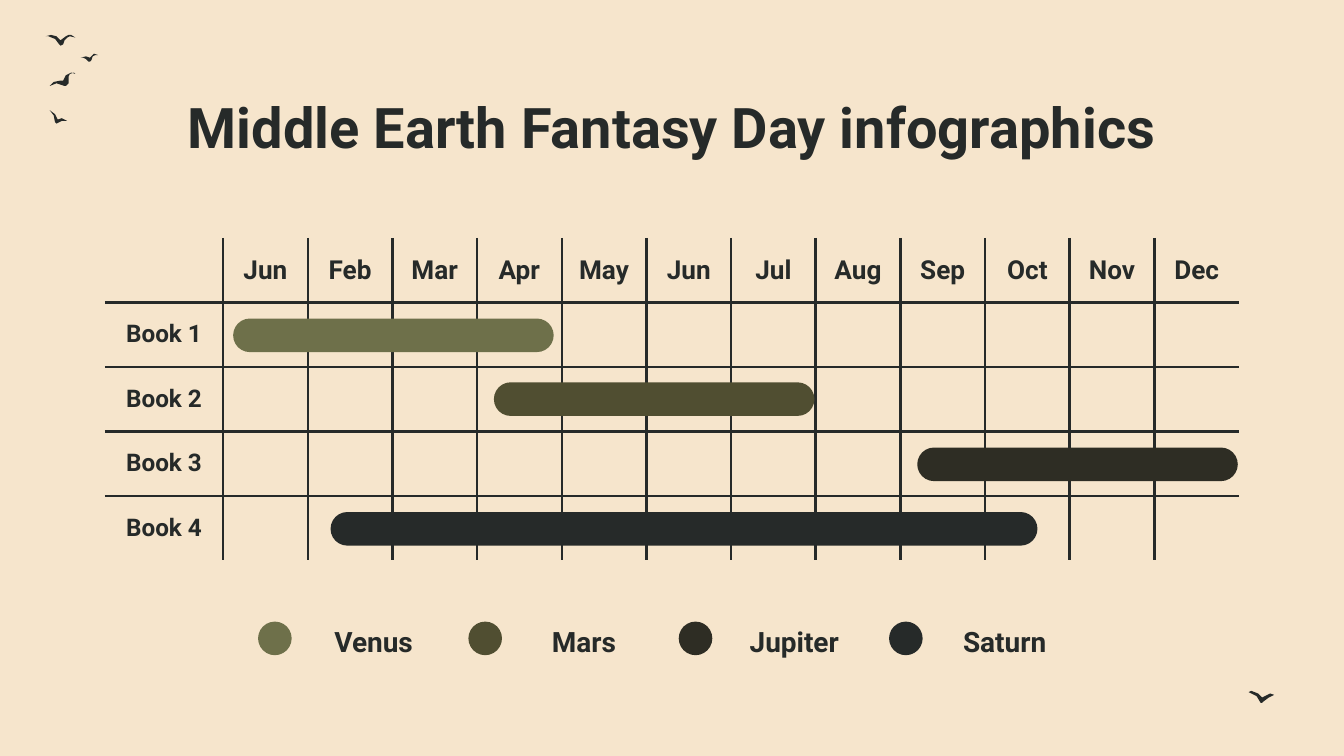
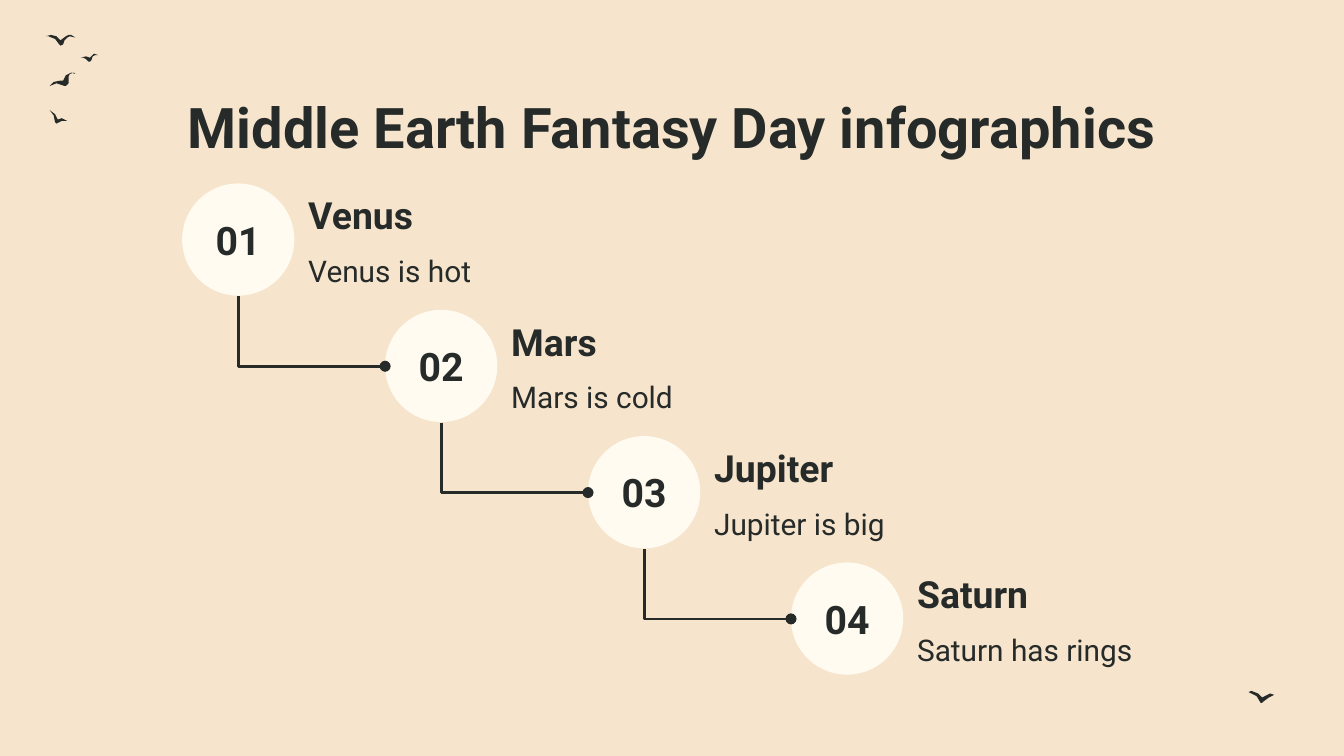
"""Build two infographic slides: a yearly Gantt table and a four-step staircase."""
from dataclasses import dataclass
from typing import Any, NamedTuple

from lxml import etree
from pptx import Presentation
from pptx import util as u
from pptx.dml.color import RGBColor
from pptx.enum import shapes, text
from pptx.oxml.ns import qn

PX = 4572


@dataclass(frozen=True)
class Theme:
    font: str = "Roboto"
    paper: str = "F6E5CC"
    ink: str = "262A29"
    cream: str = "FFFBF0"
    sage: str = "6E704A"
    olive: str = "504E31"
    bark: str = "2E2D24"
    title: int = 30
    number: int = 21
    heading: int = 20
    body: int = 16
    legend: int = 15
    month: int = 14
    book: int = 13
    line: float = 1.5


class Box(NamedTuple):
    x: int
    y: int
    w: int
    h: int

    def shift(self, dx: int, dy: int = 0) -> "Box":
        return Box(self.x + dx, self.y + dy, self.w, self.h)

    def emu(self) -> list[int]:
        return [v * PX for v in self]


class Planet(NamedTuple):
    name: str
    fact: str
    color: str
    bar: Box


T = Theme()
INSET, BOOK_W, MONTH_W, ROW_H = 20, 176, 126, 96
TOP, MIDDLE, BOTTOM = text.MSO_ANCHOR.TOP, text.MSO_ANCHOR.MIDDLE, text.MSO_ANCHOR.BOTTOM
LEFT, CENTER = text.PP_ALIGN.LEFT, text.PP_ALIGN.CENTER
OVAL, PILL = shapes.MSO_SHAPE.OVAL, shapes.MSO_SHAPE.ROUNDED_RECTANGLE
TITLE = "Middle Earth Fantasy Day infographics"
MONTHS = "Jun Feb Mar Apr May Jun Jul Aug Sep Oct Nov Dec".split()
PLANETS = [
    Planet("Venus", "Venus is hot", T.sage, Box(347, 474, 477, 50)),
    Planet("Mars", "Mars is cold", T.olive, Box(735, 569, 477, 50)),
    Planet("Jupiter", "Jupiter is big", T.bark, Box(1365, 666, 477, 50)),
    Planet("Saturn", "Saturn has rings", T.ink, Box(492, 762, 1052, 50)),
]
BIRDS = [
    [(102, 52), (98, 54), (90, 60), (84, 54), (76, 52), (68, 54), (72, 54), (82, 58),
     (88, 66), (90, 68), (94, 66), (96, 60), (100, 56), (104, 54), (112, 56), (106, 52)],
    [(106, 108), (98, 112), (94, 120), (90, 120), (80, 122), (74, 128), (84, 124), (96, 128),
     (98, 128), (102, 124), (102, 114), (104, 110), (110, 108), (112, 110)],
    [(74, 164), (80, 172), (82, 182), (84, 184), (92, 180), (100, 180), (92, 176),
     (86, 178), (82, 170)],
    [(140, 80), (138, 82), (134, 86), (128, 84), (120, 86), (124, 86), (128, 88), (132, 92),
     (134, 92), (136, 90), (138, 84), (142, 82), (146, 82)],
    [(1862, 1028), (1858, 1030), (1870, 1036), (1876, 1046), (1878, 1046), (1880, 1044),
     (1888, 1038), (1896, 1034), (1890, 1032), (1886, 1034), (1878, 1038), (1872, 1032)],
]


def rgb(color: str) -> RGBColor:
    return RGBColor.from_string(color)


def write(tf: Any, words: str, size: int, bold: bool = True, align: Any = CENTER) -> None:
    p = tf.paragraphs[0]
    p.alignment = align
    r = p.add_run()
    r.text = words
    r.font.name, r.font.size, r.font.bold = T.font, u.Pt(size), bold
    r.font.color.rgb = rgb(T.ink)


def set_frame(tf: Any, anchor: Any) -> None:
    tf.word_wrap = True
    tf.vertical_anchor = anchor
    tf.margin_left = tf.margin_right = tf.margin_top = tf.margin_bottom = INSET * PX


def add_text(parent: Any, box: Box, words: str, size: int, anchor: Any = TOP,
             bold: bool = True, align: Any = CENTER) -> None:
    tf = parent.add_textbox(*box.emu()).text_frame
    set_frame(tf, anchor)
    write(tf, words, size, bold, align)


def paint(sp: Any, color: str) -> None:
    sp.shadow.inherit = False
    sp.fill.solid()
    sp.fill.fore_color.rgb = rgb(color)
    sp.line.fill.background()


def add_shape(parent: Any, kind: Any, box: Box, color: str) -> Any:
    sp = parent.add_shape(kind, *box.emu())
    paint(sp, color)
    return sp


def add_base(prs: Any) -> Any:
    s = prs.slides.add_slide(prs.slide_layouts[6])
    s.background.fill.solid()
    s.background.fill.fore_color.rgb = rgb(T.paper)
    for start, *rest in BIRDS:
        outline = s.shapes.build_freeform(*start, scale=float(PX))
        outline.add_line_segments(rest, close=True)
        paint(outline.convert_to_shape(), T.ink)
    add_text(s.shapes, Box(157, 118, 1686, 126), TITLE, T.title)
    return s


def set_borders(cell: Any, sides: dict[str, bool]) -> None:
    tc_pr = cell._tc.get_or_add_tcPr()
    for i, (side, shown) in enumerate(sides.items()):
        ln = etree.Element(qn(f"a:ln{side}"), w=str(u.Pt(T.line)))
        if shown:
            fill = etree.SubElement(ln, qn("a:solidFill"))
            etree.SubElement(fill, qn("a:srgbClr"), val=T.ink)
        else:
            etree.SubElement(ln, qn("a:noFill"))
        tc_pr.insert(i, ln)


def add_schedule(s: Any) -> None:
    rows = [["", *MONTHS]] + [[f"Book {n}"] + [""] * len(MONTHS) for n in range(1, 5)]
    last_row, last_col = len(rows) - 1, len(MONTHS)
    box = Box(156, 354, BOOK_W + MONTH_W * last_col, ROW_H * len(rows))
    table = s.shapes.add_table(len(rows), last_col + 1, *box.emu()).table
    table.first_row = table.horz_banding = False
    for j, column in enumerate(table.columns):
        column.width = (MONTH_W if j else BOOK_W) * PX
    for i, row in enumerate(rows):
        table.rows[i].height = ROW_H * PX
        for j, words in enumerate(row):
            cell = table.cell(i, j)
            cell.fill.background()
            cell.vertical_anchor = MIDDLE
            cell.margin_left = cell.margin_right = INSET * PX
            cell.margin_top = cell.margin_bottom = INSET * PX if words else 0
            if words:
                write(cell.text_frame, words, T.book if i else T.month)
            set_borders(cell, {"L": j > 0, "R": j < last_col, "T": i > 0, "B": i < last_row})


def add_step_line(s: Any, box: Box) -> None:
    x, y, w, h = box.emu()
    c = s.shapes.add_connector(shapes.MSO_CONNECTOR.ELBOW, x + w, y, x, y + h)
    c.rotation = 270
    c.line.color.rgb = rgb(T.ink)
    c.line.width = u.Pt(T.line)
    sp_pr = c._element.spPr
    sp_pr.find(qn("a:prstGeom")).set("prst", "bentConnector2")
    etree.SubElement(sp_pr.find(qn("a:ln")), qn("a:tailEnd"), type="oval")
    etree.SubElement(sp_pr, qn("a:effectLst"))


def build_gantt(prs: Any) -> None:
    s = add_base(prs)
    add_schedule(s)
    for i, planet in enumerate(PLANETS):
        bar = add_shape(s.shapes, PILL, planet.bar, planet.color)
        bar.adjustments[0] = 0.5
        add_shape(s.shapes, OVAL, Box(384, 925, 50, 50).shift(313 * i), planet.color)
        add_text(s.shapes, Box(434, 900, 244, 100).shift(313 * i), planet.name, T.legend, BOTTOM)


def build_steps(prs: Any) -> None:
    s = add_base(prs)
    for i, planet in enumerate(PLANETS):
        step = (302 * i, 188 * i)
        group = s.shapes.add_group_shape().shapes
        add_text(group, Box(439, 273, 384, 100).shift(*step), planet.name, T.heading,
                 BOTTOM, align=LEFT)
        add_text(group, Box(439, 356, 384, 86).shift(*step), planet.fact, T.body,
                 bold=False, align=LEFT)
        disc = add_shape(group, OVAL, Box(271, 273, 167, 167).shift(*step), T.cream)
        set_frame(disc.text_frame, MIDDLE)
        write(disc.text_frame, f"{i + 1:02}", T.number)
    for i in range(len(PLANETS) - 1):
        add_step_line(s, Box(412, 384, 104, 218).shift(302 * i, 188 * i))


def main() -> None:
    prs = Presentation()
    prs.slide_width, prs.slide_height = 2000 * PX, 1125 * PX
    build_gantt(prs)
    build_steps(prs)
    prs.save("out.pptx")


if __name__ == "__main__":
    main()
